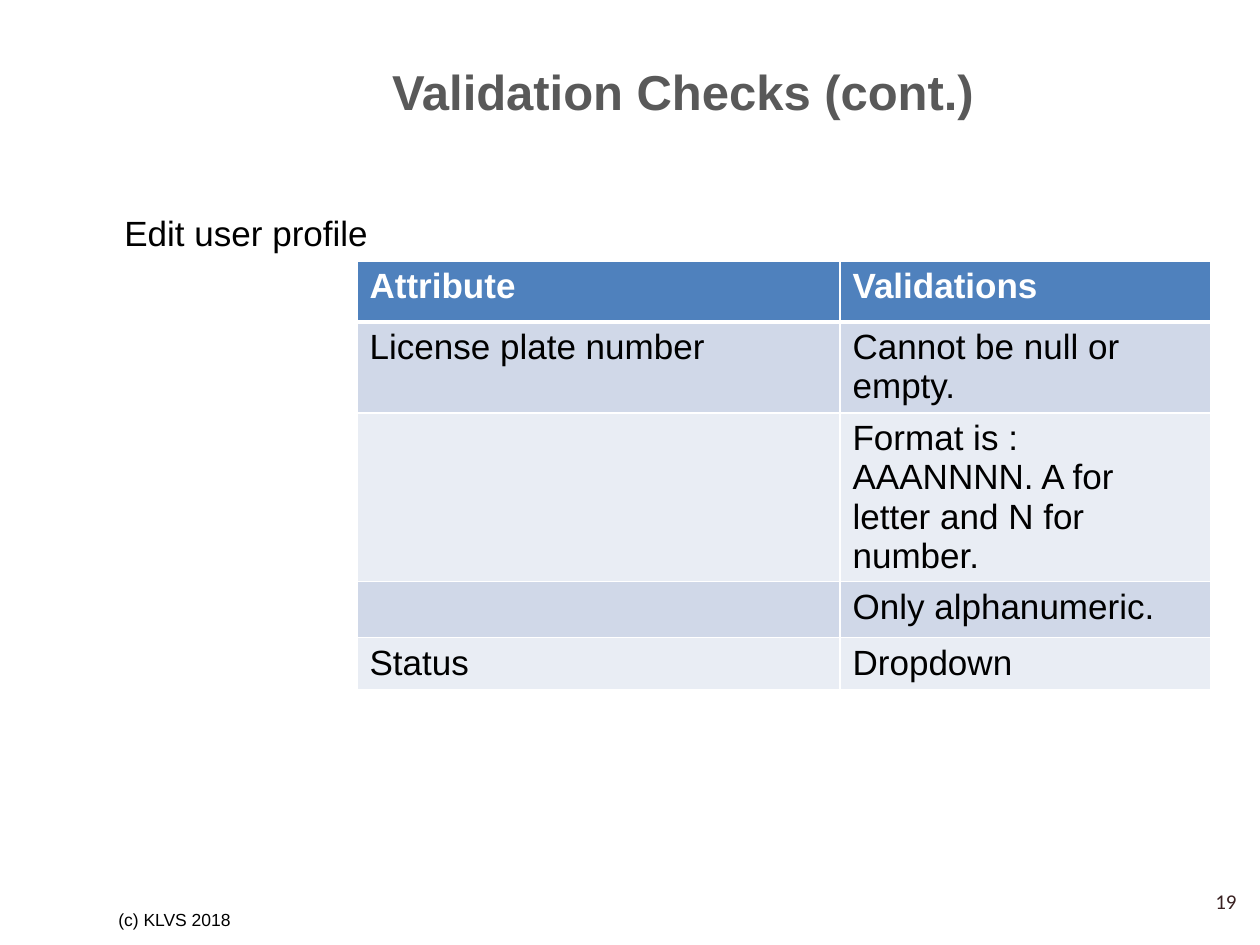
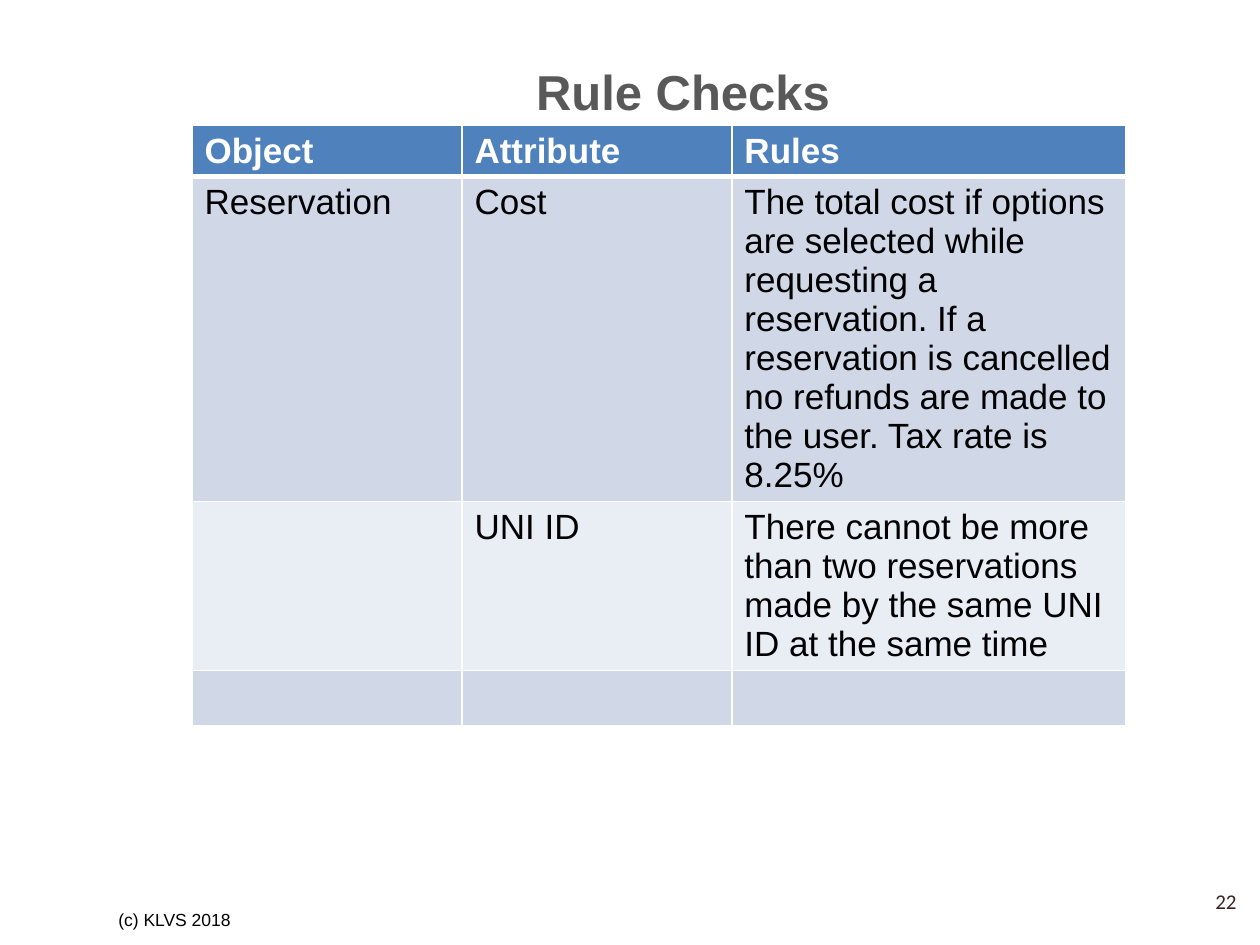
from lxml.etree import SubElement
from pptx import Presentation
from pptx.dml.color import RGBColor
from pptx.enum.text import MSO_ANCHOR, PP_ALIGN
from pptx.oxml.ns import qn
from pptx.util import Pt

PIXEL = 914400 // 126
COLORS = {
    "title": "595959", "text": "000000", "number": "3A2222",
    "header": "4F81BD", "header_text": "FFFFFF", "border": "FFFFFF",
    "odd_row": "D0D8E8", "even_row": "E9EDF4",
}
TITLE_BOX = (116, 38, 1134, 106)
FOOTER_BOX = (106, 895, 294, 50)
NUMBER_BOX = (955, 876, 294, 50)
CELL_LINE_SPACING = Pt(22.3)


def emu(*pixels):
    """Turn pixel lengths into EMU."""
    return [length * PIXEL for length in pixels]


def write(frame, text, size, color, bold=False, align=PP_ALIGN.LEFT, font="Arial",
          line_spacing=None):
    """Put one formatted paragraph into a text frame."""
    frame.text = text
    paragraph = frame.paragraphs[0]
    paragraph.alignment = align
    paragraph.line_spacing = line_spacing
    for run in paragraph.runs:
        run.font.name = font
        run.font.size = Pt(size)
        run.font.bold = bold
        run.font.color.rgb = RGBColor.from_string(COLORS[color])


def add_label(slide, box, text, size, color, wrap=True, anchor=MSO_ANCHOR.MIDDLE, **style):
    """Add a text box with one line of text."""
    frame = slide.shapes.add_textbox(*emu(*box)).text_frame
    frame.word_wrap = wrap
    frame.vertical_anchor = anchor
    write(frame, text, size, color, **style)


def add_slide(deck, title, number):
    """Add a slide with the shared title, footer and page number."""
    slide = deck.slides.add_slide(deck.slide_layouts[5])
    heading = slide.shapes.title
    heading.left, heading.top, heading.width, heading.height = emu(*TITLE_BOX)
    heading.text_frame.vertical_anchor = MSO_ANCHOR.MIDDLE
    write(heading.text_frame, title, 28, "title", bold=True, align=PP_ALIGN.CENTER)
    add_label(slide, FOOTER_BOX, "(c) KLVS 2018", 10, "text")
    add_label(slide, NUMBER_BOX, str(number), 12, "number",
              align=PP_ALIGN.RIGHT, font="Calibri")
    return slide


def set_borders(cell, top, bottom):
    """Draw white cell borders, with top and bottom widths in points."""
    properties = cell._tc.get_or_add_tcPr()
    for side, width in (("L", 1), ("R", 1), ("T", top), ("B", bottom)):
        line = SubElement(properties, qn(f"a:ln{side}"), w=str(Pt(width)))
        fill = SubElement(line, qn("a:solidFill"))
        SubElement(fill, qn("a:srgbClr"), val=COLORS["border"])


def add_check_table(slide, left, top, widths, heights, rows):
    """Add a table with a header row and alternating row fills."""
    box = emu(left, top, sum(widths), sum(heights))
    table = slide.shapes.add_table(len(rows), len(widths), *box).table
    for column, width in zip(table.columns, widths):
        column.width = width * PIXEL
    for r, (row, height, texts) in enumerate(zip(table.rows, heights, rows)):
        row.height = height * PIXEL
        is_header = r == 0
        fill = "header" if is_header else "odd_row" if r % 2 else "even_row"
        for cell, text in zip(row.cells, texts):
            set_borders(cell, top=3 if r == 1 else 1, bottom=3 if is_header else 1)
            cell.fill.solid()
            cell.fill.fore_color.rgb = RGBColor.from_string(COLORS[fill])
            write(cell.text_frame, text, 20,
                  "header_text" if is_header else "text", bold=is_header,
                  line_spacing=CELL_LINE_SPACING)


def build_validation_slide(deck):
    """Build the slide with the user profile validations."""
    slide = add_slide(deck, "Validation Checks (cont.)", 19)
    add_check_table(slide, 357, 261, (483, 371), (61, 91, 168, 56, 51), [
        ("Attribute", "Validations"),
        ("License plate number", "Cannot be null or empty."),
        ("", "Format is : AAANNNN. A for letter and N for number."),
        ("", "Only alphanumeric."),
        ("Status", "Dropdown"),
    ])
    add_label(slide, (112, 205, 281, 55), "Edit user profile", 20, "text",
              wrap=False, anchor=MSO_ANCHOR.TOP)


def build_rule_slide(deck):
    """Build the slide with the reservation rules."""
    slide = add_slide(deck, "Rule Checks", 22)
    add_check_table(slide, 192, 125, (270, 270, 394), (51, 325, 169, 55), [
        ("Object", "Attribute", "Rules"),
        ("Reservation", "Cost",
         "The total cost if options are selected while requesting a reservation. "
         "If a reservation is cancelled no refunds are made to the user. "
         "Tax rate is 8.25%"),
        ("", "UNI ID",
         "There cannot be more than two reservations made by the same UNI ID "
         "at the same time"),
        ("", "", ""),
    ])


deck = Presentation()
deck.slide_width, deck.slide_height = emu(1260, 945)
build_validation_slide(deck)
build_rule_slide(deck)
deck.save("out.pptx")
